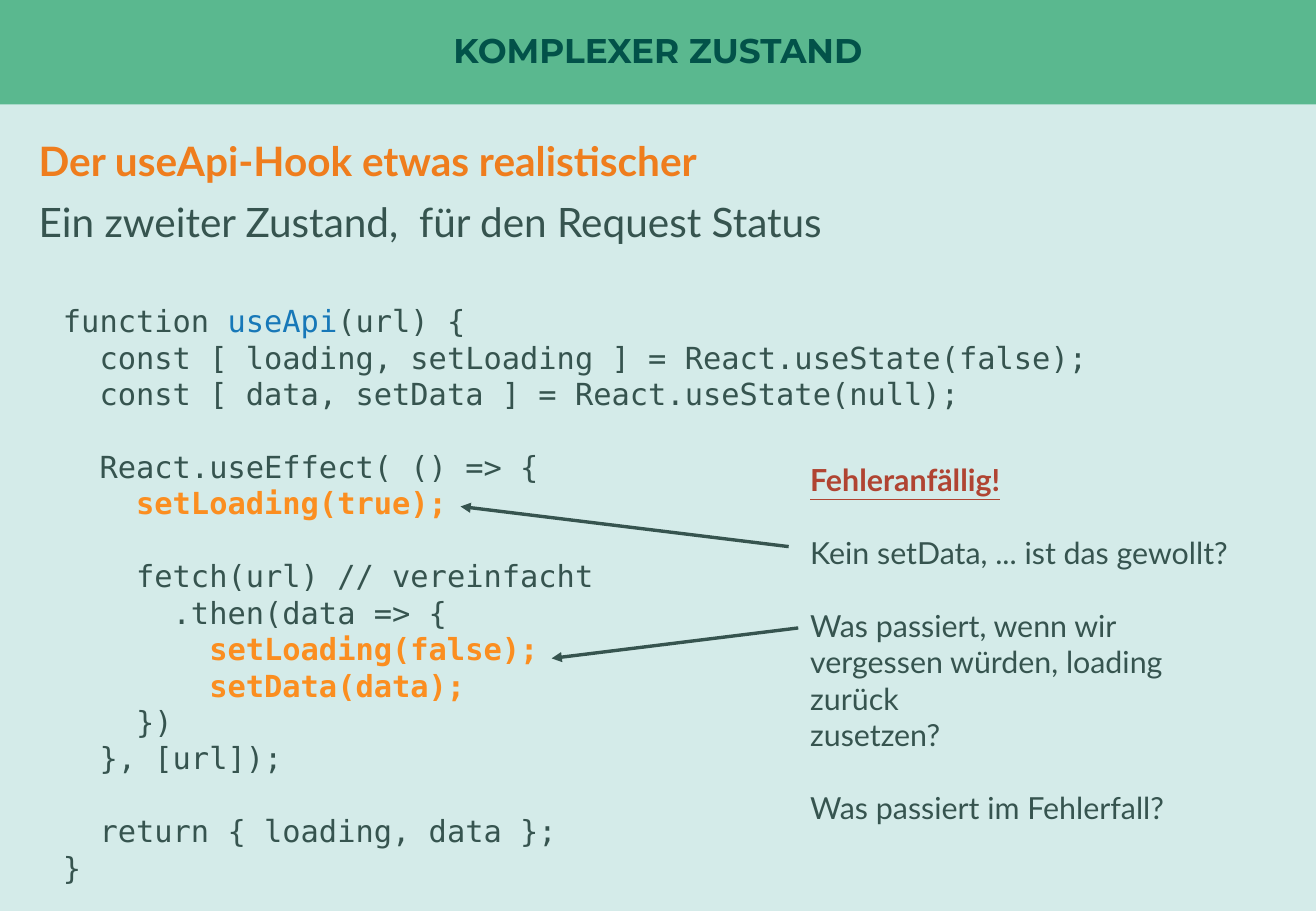
"""Builds the slide on complex state in a React hook."""
from lxml import etree
from pptx import Presentation
from pptx import util as u
from pptx.dml.color import RGBColor
from pptx.enum import shapes, text
from pptx.oxml import ns

COLORS = {"background": "D4EBE9", "band": "5AB88F", "title": "025249", "heading": "EF7D1D",
          "body": "36544F", "hook": "1778B8", "call": "FB8E20", "warning": "B04432"}
SLIDE_W, SLIDE_H = u.Inches(10.83), u.Inches(7.5)
LINE = u.Pt(21.6)

STYLES = {"body": {"color": "body"},
          "title": {"color": "title", "bold": True},
          "heading": {"color": "heading", "bold": True},
          "hook": {"color": "hook"},
          "call": {"color": "call", "bold": True},
          "warning": {"color": "warning", "bold": True, "underline": True}}

TITLE = [[("KOMPLEXER ZUSTAND", "title")]]
INTRO = [[("Der useApi-Hook etwas realistischer", "heading")],
         "Ein zweiter Zustand,  für den Request Status"]
CODE = [
    [("function ", "body"), ("useApi", "hook"), ("(url) {", "body")],
    "  const [ loading, setLoading ] = React.useState(false);",
    "  const [ data, setData ] = React.useState(null);",
    None,
    "  React.useEffect( () => {",
    [("    ", "body"), ("setLoading(true);", "call")],
    None,
    "    fetch(url) // vereinfacht",
    "      .then(data => {",
    [("        ", "body"), ("setLoading(false);", "call")],
    [("        ", "body"), ("setData(data);", "call")],
    "    })",
    "  }, [url]);",
    None,
    "  return { loading, data };",
    "}",
]
NOTES = [
    [("Fehleranfällig!", "warning")],
    None,
    "Kein setData, ... ist das gewollt?",
    None,
    "Was passiert, wenn wir",
    "vergessen würden, loading zurück",
    "zusetzen?",
    None,
    "Was passiert im Fehlerfall?",
]

BAND_AREA = (0, 0, 100, 11.47)
INTRO_AREA = (2.03, 14.93, 95.94, 77.73)
CODE_AREA = (3.88, 32.53, 92.24, 66)
NOTES_AREA = (60.66, 50, 35, 37.73)
ARROWS = [(59.93, 60, 35, 55.6), (60.66, 68.93, 41.92, 72.27)]


def rgb(name):
    return RGBColor.from_string(COLORS[name])


def place(percents):
    """Turn x, y, x, y percentages of the slide into lengths."""
    return [round(share * side / 100)
            for share, side in zip(percents, (SLIDE_W, SLIDE_H) * 2)]


def write(frame, lines, font, size, spacing=1.0, gap=0, align=text.PP_ALIGN.LEFT):
    """Write lines of styled runs; None opens a gap of one line."""
    frame.word_wrap = True
    pending = 0
    for index, line in enumerate(lines):
        if line is None:
            pending = LINE
            continue
        paragraph = frame.add_paragraph() if index else frame.paragraphs[0]
        paragraph.alignment = align
        paragraph.line_spacing = spacing
        paragraph.space_before = (pending or gap) if index else 0
        pending = 0
        for words, style in [(line, "body")] if isinstance(line, str) else line:
            run = paragraph.add_run()
            run.text = words
            run.font.name, run.font.size = font, u.Pt(size)
            run.font.color.rgb = rgb(STYLES[style]["color"])
            run.font.bold = STYLES[style].get("bold", False)
            run.font.underline = STYLES[style].get("underline", False)


def add_arrow(slide, ends):
    arrow = slide.shapes.add_connector(shapes.MSO_CONNECTOR.STRAIGHT, *place(ends))
    arrow.line.color.rgb = rgb("body")
    arrow.line.width = u.Pt(2)
    etree.SubElement(arrow.line._get_or_add_ln(), ns.qn("a:tailEnd"), type="triangle")
    etree.SubElement(arrow._element.spPr, ns.qn("a:effectLst"))


def main():
    deck = Presentation()
    deck.slide_width, deck.slide_height = SLIDE_W, SLIDE_H
    slide = deck.slides.add_slide(deck.slide_layouts[6])
    slide.background.fill.solid()
    slide.background.fill.fore_color.rgb = rgb("background")

    band = slide.shapes.add_shape(shapes.MSO_SHAPE.RECTANGLE, *place(BAND_AREA))
    band.shadow.inherit = False
    band.fill.solid()
    band.fill.fore_color.rgb = rgb("band")
    band.line.fill.background()
    band.text_frame.vertical_anchor = text.MSO_ANCHOR.MIDDLE
    write(band.text_frame, TITLE, "Montserrat", 20.3, spacing=0.9, align=text.PP_ALIGN.CENTER)

    for area, lines, form in [
        (INTRO_AREA, INTRO, {"font": "Lato", "size": 24, "spacing": 0.9, "gap": u.Pt(10)}),
        (CODE_AREA, CODE, {"font": "DejaVu Sans Mono", "size": 18, "spacing": LINE}),
        (NOTES_AREA, NOTES, {"font": "Lato", "size": 18}),
    ]:
        write(slide.shapes.add_textbox(*place(area)).text_frame, lines, **form)

    for ends in ARROWS:
        add_arrow(slide, ends)
    deck.save("out.pptx")


if __name__ == "__main__":
    main()
